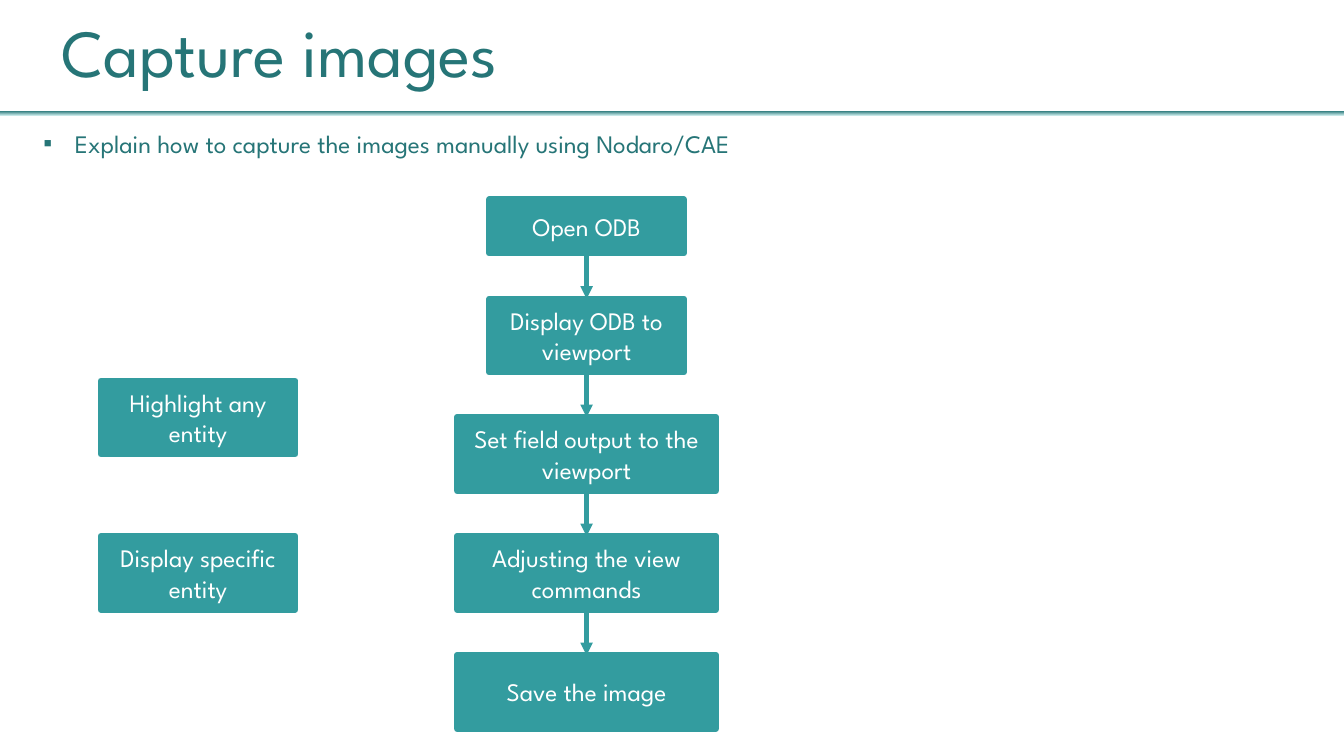
import pptx
import pptx.util
import pptx.dml.color
import pptx.enum.shapes
import pptx.enum.text
import pptx.oxml
import pptx.oxml.ns

Pt = pptx.util.Pt
RGBColor = pptx.dml.color.RGBColor
MSO_SHAPE = pptx.enum.shapes.MSO_SHAPE
PP_ALIGN = pptx.enum.text.PP_ALIGN
MSO_ANCHOR = pptx.enum.text.MSO_ANCHOR
MSO_AUTO_SIZE = pptx.enum.text.MSO_AUTO_SIZE
qn = pptx.oxml.ns.qn

DARK_TEAL = RGBColor(0x26, 0x75, 0x77)
TEAL = RGBColor(0x33, 0x9C, 0x9F)
PALE_TEAL = RGBColor(0xD2, 0xF0, 0xF0)
WHITE = RGBColor(0xFF, 0xFF, 0xFF)
FONT = "League Spartan"


def write(shape, text, size, color, align, anchor):
    frame = shape.text_frame
    frame.text = text
    frame.word_wrap = True
    frame.auto_size = MSO_AUTO_SIZE.NONE
    frame.vertical_anchor = anchor
    paragraph = frame.paragraphs[0]
    paragraph.alignment = align
    font = paragraph.runs[0].font
    font.name, font.size, font.color.rgb = FONT, Pt(size), color
    return paragraph


def add_step(text, center, top, width, height):
    step = slide.shapes.add_shape(
        MSO_SHAPE.RECTANGLE, Pt(center - width / 2), Pt(top), Pt(width), Pt(height))
    step.shadow.inherit = False
    step.fill.solid()
    step.fill.fore_color.rgb = TEAL
    step.line.color.rgb = TEAL
    step.line.width = Pt(4.5)
    write(step, text, 18, WHITE, PP_ALIGN.CENTER, MSO_ANCHOR.MIDDLE)
    return step


deck = pptx.Presentation()
deck.slide_width, deck.slide_height = Pt(960), Pt(540)
slide = deck.slides.add_slide(deck.slide_layouts[1])

# Rule under the title
rule = slide.shapes.add_shape(MSO_SHAPE.RECTANGLE, Pt(-0.5), Pt(79.2), Pt(961), Pt(3.6))
rule.shadow.inherit = False
rule.line.fill.background()
rule.fill.gradient()
rule.fill.gradient_angle = 270
for stop, color in zip(rule.fill.gradient_stops, (DARK_TEAL, PALE_TEAL)):
    stop.color.rgb = color

# Title
title = slide.shapes.title
title.left, title.top, title.width, title.height = Pt(36.7), Pt(9.4), Pt(873.4), Pt(59.8)
heading = write(title, "Capture images", 48, DARK_TEAL, PP_ALIGN.LEFT, MSO_ANCHOR.BOTTOM)
heading.line_spacing = 0.9

# Bullet
task = slide.placeholders[1]
task.left, task.top, task.width, task.height = Pt(23.8), Pt(87.8), Pt(936), Pt(29)
bullet = write(task, "Explain how to capture the images manually using Nodaro/CAE",
               18, DARK_TEAL, PP_ALIGN.LEFT, MSO_ANCHOR.TOP)
bullet.space_before, bullet.space_after = Pt(0), Pt(6)
properties = bullet._p.get_or_add_pPr()
properties.set("marL", str(Pt(22.5)))
properties.set("indent", str(Pt(-22.5)))
marker = pptx.oxml.parse_xml(
    '<a:buChar xmlns:a="http://schemas.openxmlformats.org/drawingml/2006/main" char="▪"/>')
properties.append(marker)

# Side steps
for text, top in (("Highlight any entity", 272), ("Display specific entity", 383)):
    add_step(text, 141.5, top, 139, 52.5)

# Main flow
flow = [
    add_step(text, 419, top, width, height)
    for text, top, width, height in (
        ("Open ODB", 142.5, 139, 38.5),
        ("Display ODB to viewport", 213.5, 139, 52.5),
        ("Set field output to the viewport", 298, 185, 52.5),
        ("Adjusting the view commands", 383, 185, 52.5),
        ("Save the image", 468, 185, 52.5),
    )
]

# Arrows between consecutive steps, from bottom centre to top centre
for before, after in zip(flow, flow[1:]):
    arrow = slide.shapes.add_connector(
        pptx.enum.shapes.MSO_CONNECTOR.STRAIGHT, 0, 0, 0, 0)
    arrow.begin_connect(before, 2)
    arrow.end_connect(after, 0)
    arrow.line.color.rgb = TEAL
    arrow.line.width = Pt(3)
    head = arrow.line._get_or_add_ln().makeelement(qn("a:tailEnd"), {"type": "triangle"})
    arrow.line._get_or_add_ln().append(head)
    drawing = arrow._element.spPr
    drawing.append(drawing.makeelement(qn("a:effectLst"), {}))

deck.save("out.pptx")
